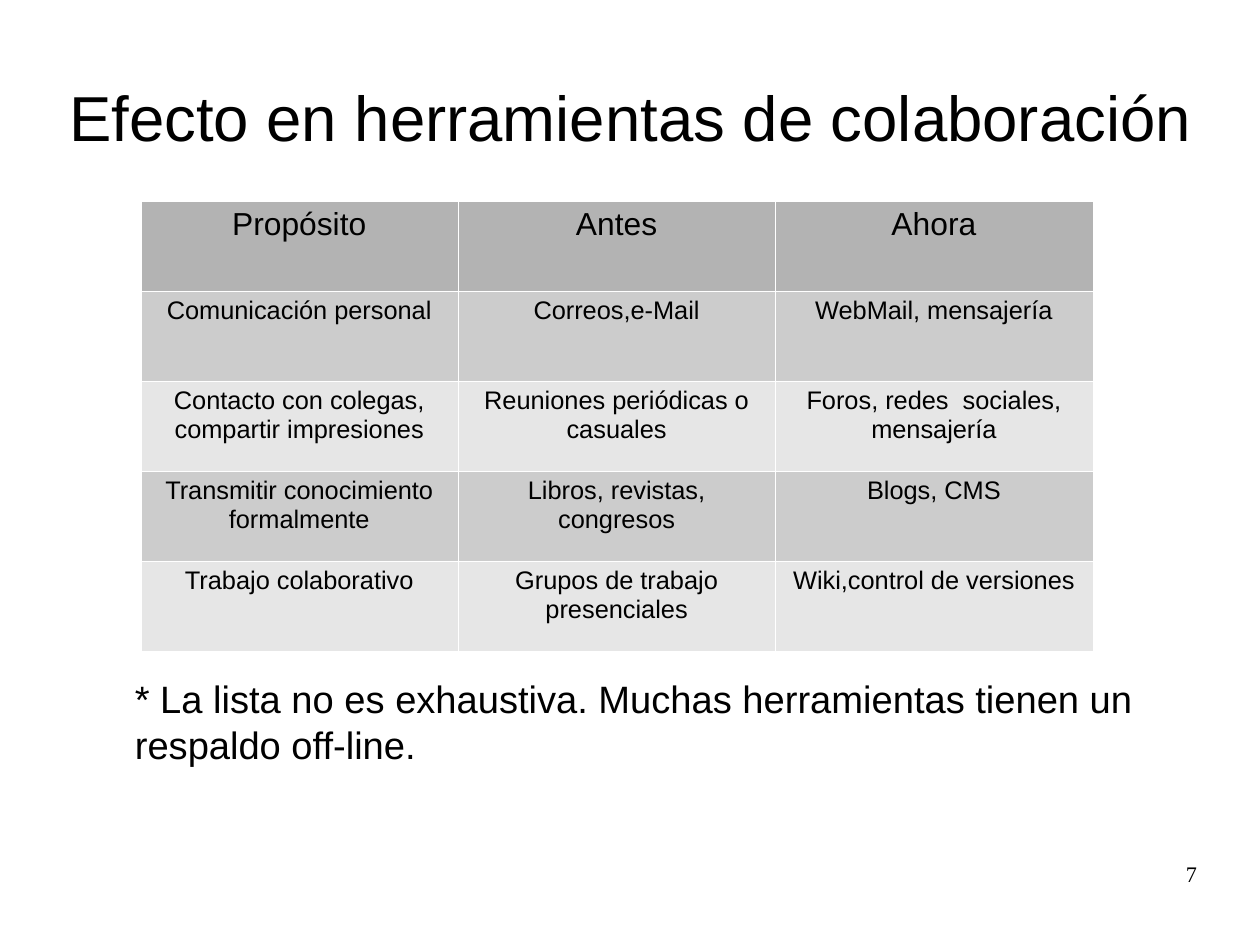
from dataclasses import dataclass

from lxml.etree import SubElement
from pptx import Presentation
from pptx.dml.color import RGBColor as RGB
from pptx.enum.text import MSO_ANCHOR as Anchor, PP_ALIGN as Align
from pptx.oxml.ns import qn
from pptx.util import Cm, Inches, Pt

TITLE = "Efecto en herramientas de colaboración"
ROWS = [
    ("Propósito", "Antes", "Ahora"),
    ("Comunicación personal", "Correos,e-Mail", "WebMail, mensajería"),
    ("Contacto con colegas, compartir impresiones",
     "Reuniones periódicas o casuales", "Foros, redes  sociales, mensajería"),
    ("Transmitir conocimiento formalmente",
     "Libros, revistas, congresos", "Blogs, CMS"),
    ("Trabajo colaborativo",
     "Grupos de trabajo presenciales", "Wiki,control de versiones"),
]
NOTE = ("* La lista no es exhaustiva. Muchas herramientas tienen un "
        "respaldo off-line.")
PAGE = "7"


@dataclass(frozen=True)
class Theme:
    sans: str = "Arial"
    serif: str = "Times New Roman"
    ink: str = "000000"
    rule: str = "FFFFFF"
    head: str = "B3B3B3"
    bands: tuple = ("CCCCCC", "E6E6E6")
    title: int = 40
    note: int = 24
    heading: int = 20
    cell: int = 16
    page: int = 14
    note_space: float = 14.2
    rule_width: float = 0.06


T = Theme()
SLIDE_WIDTH, SLIDE_HEIGHT = Cm(28), Cm(21)
WIDTH = SLIDE_WIDTH.inches
MARGIN = 0.55
CONTENT = WIDTH - 2 * MARGIN
TABLE_BOX = (1.23, 1.76, 8.33, 3.94)
NOTE_LEFT = 1.18
PAGE_WIDTH = 2.57


def write(tf, text, size, align, font=T.sans):
    p = tf.paragraphs[0]
    p.text = text
    p.alignment = align
    p.font.size = Pt(size)
    p.font.name = font
    p.font.color.rgb = RGB.from_string(T.ink)
    return p


def add_text(slide, box, text, size, align, font=T.sans, anchor=Anchor.TOP):
    tf = slide.shapes.add_textbox(*map(Inches, box)).text_frame
    tf.word_wrap = True
    tf.vertical_anchor = anchor
    tf.margin_left = tf.margin_right = tf.margin_top = tf.margin_bottom = 0
    return write(tf, text, size, align, font)


def add_borders(cell):
    tc_pr = cell._tc.get_or_add_tcPr()
    for side in ("lnL", "lnR", "lnT", "lnB"):
        ln = SubElement(tc_pr, qn(f"a:{side}"), w=str(Pt(T.rule_width)))
        fill = SubElement(ln, qn("a:solidFill"))
        SubElement(fill, qn("a:srgbClr"), val=T.rule)


def add_tools_table(slide):
    box = map(Inches, TABLE_BOX)
    table = slide.shapes.add_table(len(ROWS), len(ROWS[0]), *box).table
    for i, row in enumerate(ROWS):
        color = T.bands[(i - 1) % 2] if i else T.head
        for j, text in enumerate(row):
            cell = table.cell(i, j)
            write(cell.text_frame, text, T.cell if i else T.heading, Align.CENTER)
            add_borders(cell)
            cell.fill.solid()
            cell.fill.fore_color.rgb = RGB.from_string(color)


def main():
    prs = Presentation()
    prs.slide_width = SLIDE_WIDTH
    prs.slide_height = SLIDE_HEIGHT
    slide = prs.slides.add_slide(prs.slide_layouts[6])
    add_text(slide, (MARGIN, 0.33, CONTENT, 1.38), TITLE, T.title,
             Align.CENTER, anchor=Anchor.MIDDLE)
    note = add_text(slide, (NOTE_LEFT, 5.91, WIDTH - NOTE_LEFT, 1.4), NOTE,
                    T.note, Align.LEFT)
    note.space_before = Pt(T.note_space)
    add_tools_table(slide)
    add_text(slide, (WIDTH - MARGIN - PAGE_WIDTH, 7.53, PAGE_WIDTH, 0.57),
             PAGE, T.page, Align.RIGHT, T.serif)
    prs.save("out.pptx")


if __name__ == "__main__":
    main()
